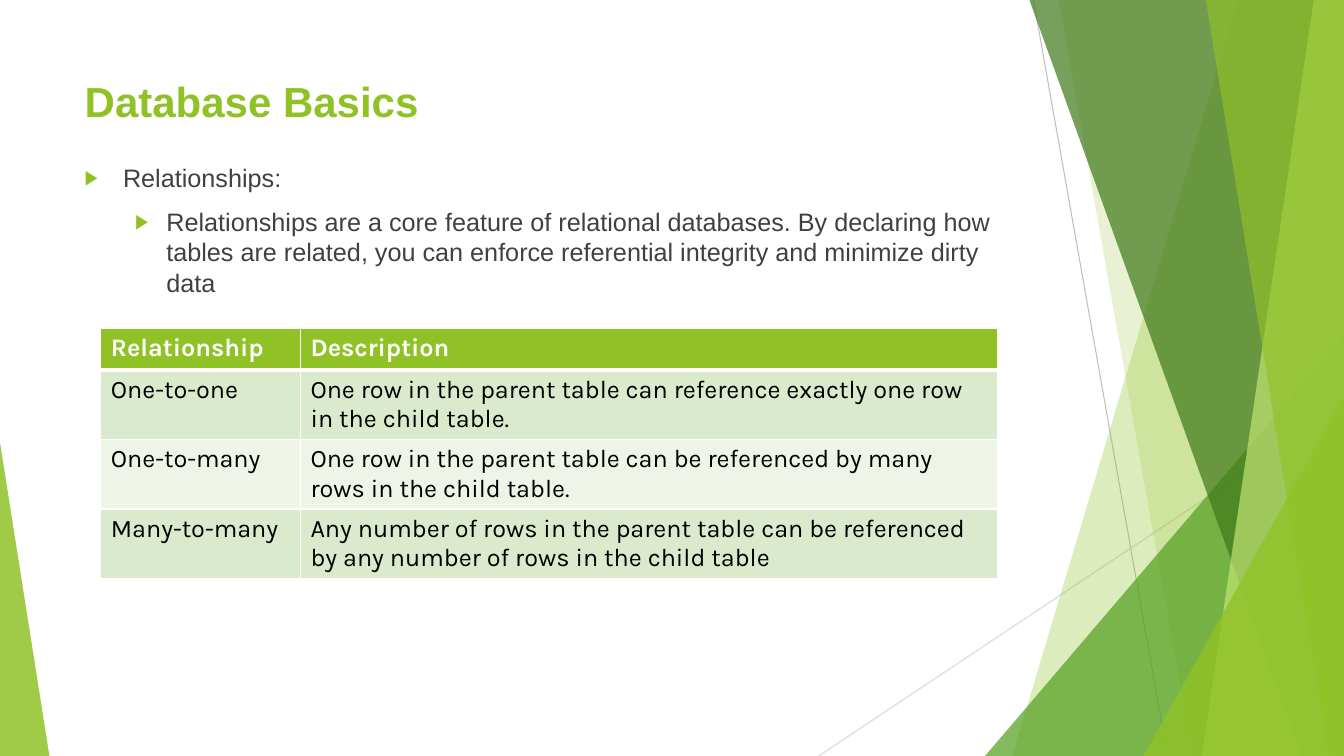
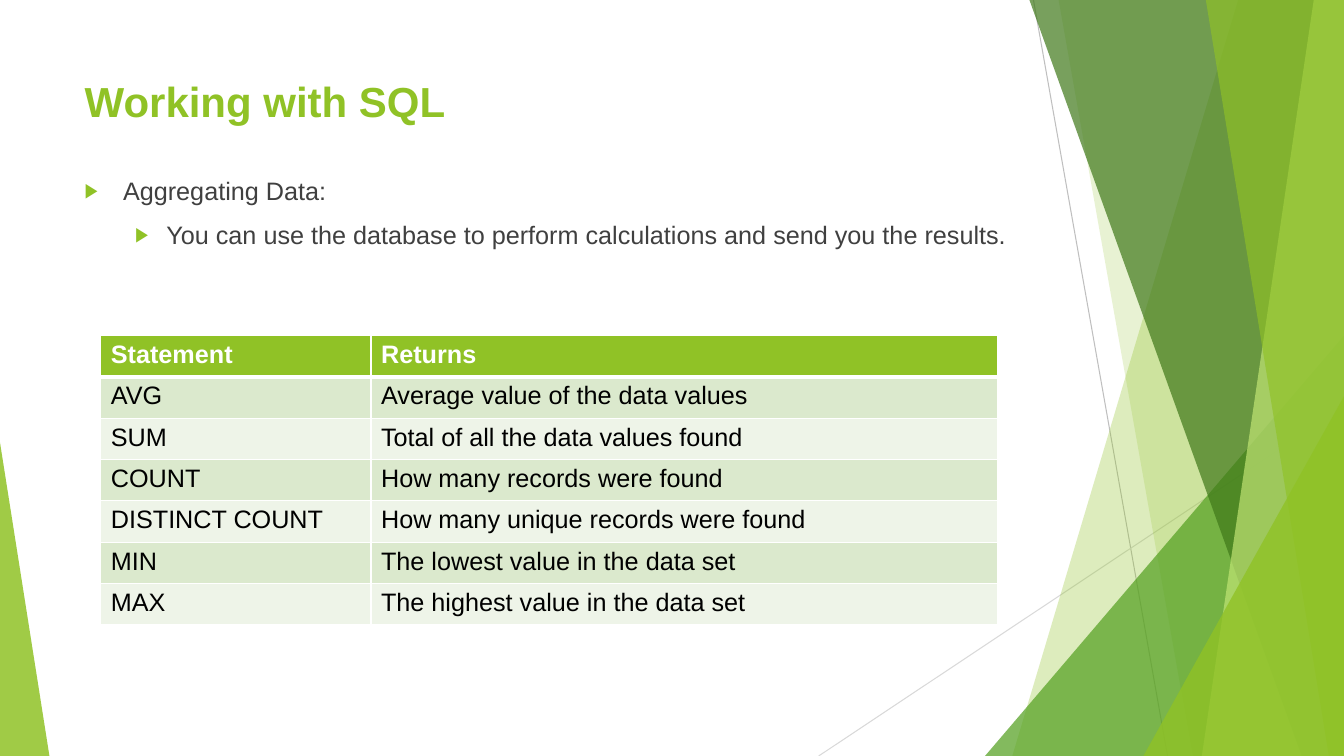
from lxml.etree import SubElement
from pptx import Presentation
from pptx.dml.color import RGBColor
from pptx.enum.shapes import MSO_CONNECTOR, MSO_SHAPE
from pptx.enum.text import MSO_ANCHOR, MSO_AUTO_SIZE, PP_ALIGN
from pptx.oxml.ns import qn
from pptx.util import Inches, Pt

HUES = {
    "lime": "90C226", "green": "54A021", "forest": "3F7819", "pale": "C0E474",
    "text": "404040", "black": "000000", "white": "FFFFFF",
    "band": "DBE9CD", "light": "EEF4E8", "gray": "BFBFBF", "mist": "D9D9D9",
}
WIDE, HIGH = 13.33, 7.5


def hue(name):
    return RGBColor.from_string(HUES[name])


def write(para, text, size=18, color="text", bold=False, font="Arial"):
    run = para.add_run()
    run.text = text
    run.font.name = font
    run.font.size = Pt(size)
    run.font.bold = bold
    run.font.color.rgb = hue(color)


PAGES = [
    {
        "title": "Database Basics",
        "body": 1.56,
        "list": [
            "Relationships:",
            "Relationships are a core feature of relational databases. By declaring how "
            "tables are related, you can enforce referential integrity and minimize dirty data",
        ],
        "font": "Karla", "top": 3.26, "cols": [1.98, 6.91], "row": 0.69,
        "rows": [
            ("Relationship", "Description"),
            ("One-to-one", "One row in the parent table can reference exactly one row "
             "in the child table."),
            ("One-to-many", "One row in the parent table can be referenced by many rows "
             "in the child table."),
            ("Many-to-many", "Any number of rows in the parent table can be referenced "
             "by any number of rows in the child table"),
        ],
    },
    {
        "title": "Working with SQL",
        "body": 1.69,
        "list": [
            "Aggregating Data:",
            "You can use the database to perform calculations and send you the results.",
        ],
        "font": "Arial", "top": 3.33, "cols": [2.68, 6.21], "row": 0.41,
        "rows": [
            ("Statement", "Returns"),
            ("AVG", "Average value of the data values"),
            ("SUM", "Total of all the data values found"),
            ("COUNT", "How many records were found"),
            ("DISTINCT COUNT", "How many unique records were found"),
            ("MIN", "The lowest value in the data set"),
            ("MAX", "The highest value in the data set"),
        ],
    },
]

deck = Presentation()
deck.slide_width, deck.slide_height = Inches(WIDE), Inches(HIGH)
layout = deck.slide_layouts[1]

# Keep only title and body in the layout
for holder in list(layout.placeholders):
    if holder.placeholder_format.idx > 1:
        layout.shapes.element.remove(holder.element)

for page in PAGES:
    slide = deck.slides.add_slide(layout)
    title, body = slide.placeholders

    # Title
    title.left, title.top = Inches(0.74), Inches(0.67)
    title.width, title.height = Inches(9.4), Inches(0.75)
    frame = title.text_frame
    frame.auto_size = MSO_AUTO_SIZE.NONE
    frame.vertical_anchor = MSO_ANCHOR.TOP
    frame.margin_top = Inches(0.08)
    para = frame.paragraphs[0]
    para.alignment = PP_ALIGN.LEFT
    write(para, page["title"], size=30, color="lime", bold=True)

    # Bullet list
    body.left, body.top = Inches(0.74), Inches(page["body"])
    body.width, body.height = Inches(9.4), Inches(6.6 - page["body"])
    frame = body.text_frame
    frame.auto_size = MSO_AUTO_SIZE.NONE
    for level, text in enumerate(page["list"]):
        para = frame.add_paragraph() if level else frame.paragraphs[0]
        para.level = level
        para.space_before = Pt(10)
        write(para, text)
        left, hang = [(0.38, 0.38), (0.81, 0.31)][level]
        props = para._p.get_or_add_pPr()
        props.set("marL", str(Inches(left)))
        props.set("indent", str(-Inches(hang)))
        tint = SubElement(props, qn("a:buClr"))
        SubElement(tint, qn("a:srgbClr"), val=HUES["lime"])
        SubElement(props, qn("a:buSzPct"), val="80000")
        SubElement(props, qn("a:buFont"), typeface="Arial")
        SubElement(props, qn("a:buChar"), char="▶")

    # Table
    rows = page["rows"]
    tall = 0.41 + page["row"] * (len(rows) - 1)
    table = slide.shapes.add_table(
        len(rows), 2, Inches(1), Inches(page["top"]), Inches(8.89), Inches(tall)).table
    for col, width in zip(table.columns, page["cols"]):
        col.width = Inches(width)
    for r, row in enumerate(rows):
        table.rows[r].height = Inches(page["row"] if r else 0.41)
        for c, text in enumerate(row):
            cell = table.cell(r, c)
            write(cell.text_frame.paragraphs[0], text, font=page["font"],
                  color="black" if r else "white", bold=r == 0)
            props = cell._tc.get_or_add_tcPr()
            for side in ("L", "R", "T", "B"):
                thick = (r, side) in [(0, "B"), (1, "T")]
                edge = SubElement(props, qn(f"a:ln{side}"), w=str(Pt(3 if thick else 1)))
                paint = SubElement(edge, qn("a:solidFill"))
                SubElement(paint, qn("a:srgbClr"), val=HUES["white"])
            cell.fill.solid()
            cell.fill.fore_color.rgb = hue(("band" if r % 2 else "light") if r else "lime")

# Shared art: thin lines
shapes = slide.shapes
parts = []
for x1, y1, x2, y2, color in [(10.25, 0, 11.58, HIGH, "gray"), (WIDE, 4.03, 8.12, HIGH, "mist")]:
    line = shapes.add_connector(
        MSO_CONNECTOR.STRAIGHT, Inches(x1), Inches(y1), Inches(x2), Inches(y2))
    line.line.color.rgb = hue(color)
    line.line.width = Pt(0.75)
    SubElement(line.element.spPr, qn("a:effectLst"))
    parts.append(line)

# Shared art: panels (top x, bottom x) and wedges (left, top, width, tip)
ART = [
    ((12.28, 10.04), "lime", 30),
    ((10.5, 11.83), "lime", 20),
    ((9.77, 3.33, 3.56, 1), "green", 72),
    ((10.21, 12.91), "forest", 70),
    ((13.03, 11.92), "pale", 70),
    ((11.96, 13.18), "lime", 65),
    ((11.34, 3.93, 1.99, 1), "lime", 80),
    ((0, 4.39, 0.49, 0), "lime", 85),
]
for place, color, alpha in ART:
    if len(place) == 2:
        head, foot = place
        pen = shapes.build_freeform(Inches(head), 0)
        pen.add_line_segments([(Inches(x), Inches(y)) for x, y in
                               [(WIDE, 0), (WIDE, HIGH), (foot, HIGH)]])
        part = pen.convert_to_shape()
    else:
        left, top, width, tip = place
        part = shapes.add_shape(MSO_SHAPE.ISOSCELES_TRIANGLE, Inches(left), Inches(top),
                                Inches(width), Inches(HIGH - top))
        part.adjustments[0] = tip
    part.shadow.inherit = False
    part.line.fill.background()
    part.fill.solid()
    part.fill.fore_color.rgb = hue(color)
    tint = part.element.spPr.find(qn("a:solidFill")).find(qn("a:srgbClr"))
    SubElement(tint, qn("a:alpha"), val=str(alpha * 1000))
    parts.append(part)

# Move the art to the layout, behind every slide
for part in parts:
    layout.shapes.element.append(part.element)

deck.save("out.pptx")
